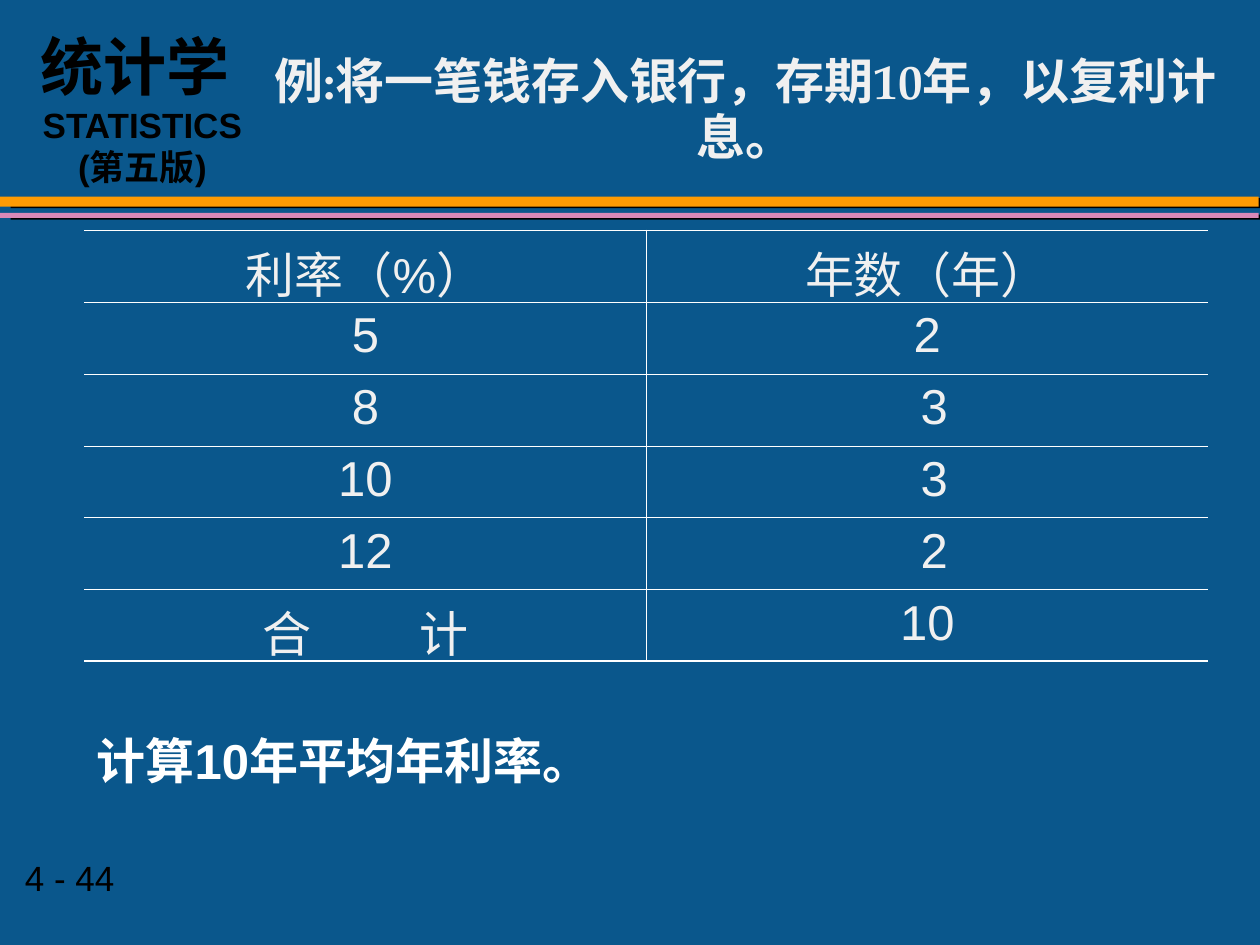
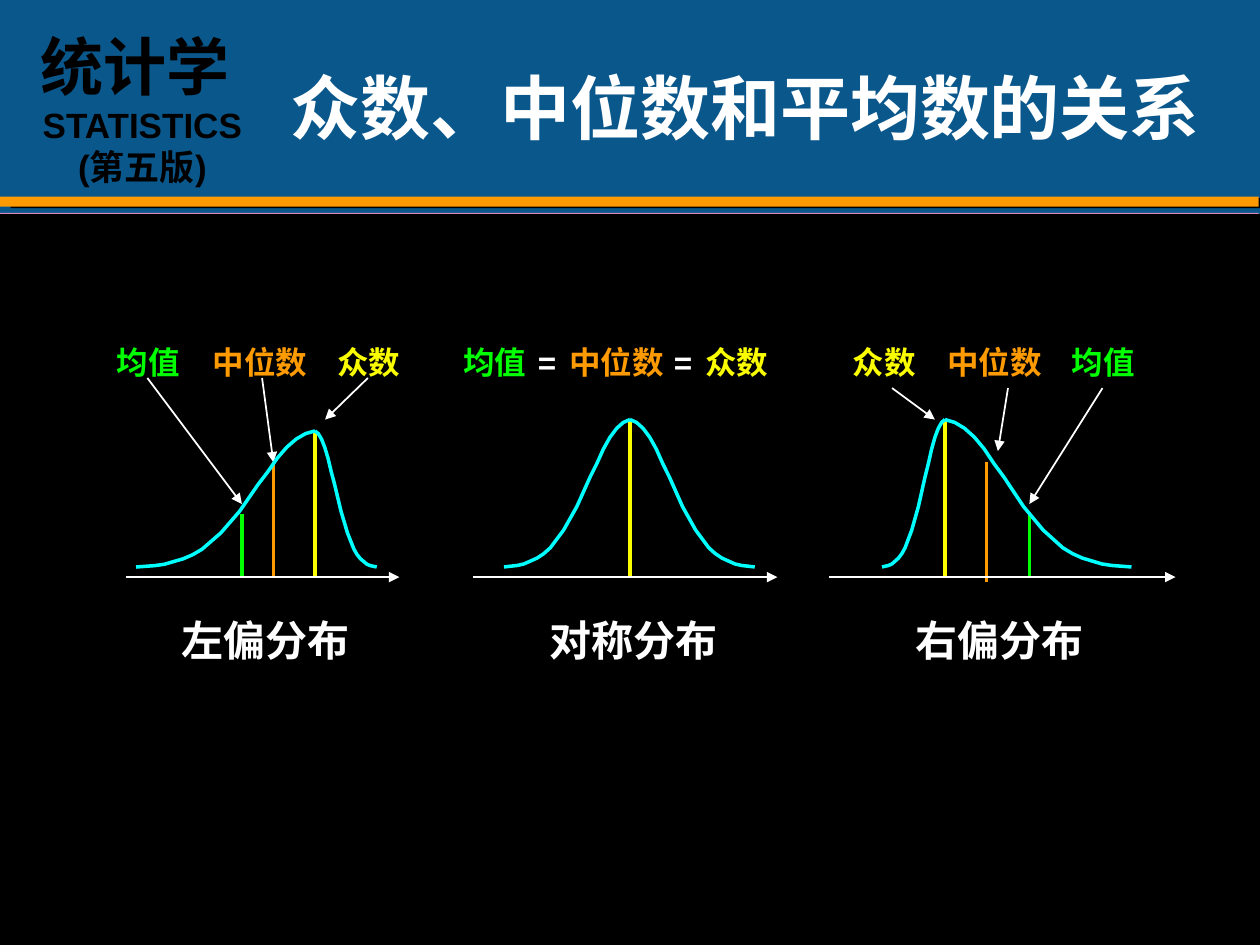
import pptx
import pptx.dml.color
import pptx.enum.shapes
import pptx.enum.text
import pptx.oxml
import pptx.oxml.ns
import pptx.util
from lxml import etree
from pptx.util import Inches

BLUE, ORANGE, PINK = "0A578C", "FE9B03", "D989B8"
BLACK, WHITE, PALE = "000000", "FFFFFF", "F0F0F0"
GREEN, YELLOW, CYAN = "00FF00", "FAFD00", "00FFFF"
BODY_FONT, TITLE_FONT = "Arial", "TeX Gyre Pagella"
CENTER = pptx.enum.text.PP_ALIGN.CENTER

MEAN, MEDIAN, MODE = ("均值", GREEN), ("中位数", ORANGE), ("众数", YELLOW)
EQUALS = ("=", WHITE)
LABEL_WIDTHS = {"均值": 0.7, "中位数": 0.95, "众数": 0.7, "=": 0.41}
AXIS_Y, CURVE_FOOT = 4.58, 4.5
CURVE_STEPS = [0, 2, 3, 4, 5, 6, 7, 9, 11, 13, 14, 15, 16, 17, 18, 19]
CURVE_HEIGHTS = [0, 0.01, 0.02, 0.04, 0.06, 0.09, 0.13, 0.25,
                 0.41, 0.61, 0.7, 0.8, 0.88, 0.94, 0.98, 1]

RATES = [("利率（%）", "年数（年）"), ("5", "2"), ("8", " 3"),
         ("10", " 3"), ("12", " 2"), ("合 计", "10")]

DISTRIBUTIONS = [
    {"name": "左偏分布", "name_left": 1.34, "axis": (1, 3.17),
     "peak": (2.5, 3.42), "feet": (1.08, 2.99),
     "labels": [(MEAN, 0.83), (MEDIAN, 1.59), (MODE, 2.58)],
     "markers": [(YELLOW, 2.5, 3.42, AXIS_Y), (ORANGE, 2.17, 3.67, AXIS_Y),
                 (GREEN, 1.92, 4.08, AXIS_Y)],
     "arrows": [(2.92, 3, 2.58, 3.33), (2.08, 3, 2.17, 3.67),
                (1.17, 3, 1.92, 4)]},
    {"name": "对称分布", "name_left": 4.26, "axis": (3.75, 6.17),
     "peak": (5, 3.33), "feet": (4, 5.99),
     "labels": [(MEAN, 3.58), (EQUALS, 4.17), (MEDIAN, 4.42),
                (EQUALS, 5.25), (MODE, 5.5)],
     "markers": [(YELLOW, 5, 3.33, AXIS_Y)],
     "arrows": []},
    {"name": "右偏分布", "name_left": 7.17, "axis": (6.58, 9.33),
     "peak": (7.5, 3.33), "feet": (7, 8.98),
     "labels": [(MODE, 6.67), (MEDIAN, 7.42), (MEAN, 8.41)],
     "markers": [(YELLOW, 7.5, 3.33, AXIS_Y), (ORANGE, 7.83, 3.67, 4.62),
                 (GREEN, 8.17, 4.08, AXIS_Y)],
     "arrows": [(7.08, 3.08, 7.42, 3.33), (8, 3.08, 7.92, 3.58),
                (8.75, 3.08, 8.17, 4)]},
]


def color(value):
    return pptx.dml.color.RGBColor.from_string(value)


def add_element(parent, tag, **attributes):
    return etree.SubElement(parent, pptx.oxml.ns.qn(tag), attributes)


class Deck:
    def __init__(self):
        self.presentation = pptx.Presentation()
        self.presentation.slide_width = Inches(10)
        self.presentation.slide_height = Inches(7.5)
        background = self.presentation.slide_master.background.fill
        background.solid()
        background.fore_color.rgb = color(BLUE)
        self.slide = None

    def add_slide(self):
        self.slide = self.presentation.slides.add_slide(
            self.presentation.slide_layouts[5])
        self.band(0, 1.56, 9.99, 0.08, ORANGE, shadow=True)
        self.band(0, 1.69, 9.99, 0.04, PINK, shadow=True)
        brand = self.text("统计学 \nSTATISTICS\n(第五版)", 0.17, 0.17, 1.92, 1.37,
                          20, BLACK, bold=True, wrap=True)
        for paragraph in brand.text_frame.paragraphs:
            paragraph.alignment = CENTER
        self.format(brand.text_frame.paragraphs[0], 36, BLACK, True)

    def format(self, paragraph, size, text_color, bold=False, font=BODY_FONT):
        for run in paragraph.runs:
            run.font.name = font
            run.font.size = pptx.util.Pt(size)
            run.font.bold = bold
            run.font.color.rgb = color(text_color)

    def title(self, text, left, top, width, height, size, text_color):
        shape = self.slide.shapes.title
        shape.left, shape.top = Inches(left), Inches(top)
        shape.width, shape.height = Inches(width), Inches(height)
        frame = shape.text_frame
        frame.text = text
        frame.auto_size = pptx.enum.text.MSO_AUTO_SIZE.NONE
        frame.vertical_anchor = pptx.enum.text.MSO_ANCHOR.MIDDLE
        paragraph = frame.paragraphs[0]
        paragraph.alignment = CENTER
        paragraph.line_spacing = 0.95
        self.format(paragraph, size, text_color, True, TITLE_FONT)

    def text(self, text, left, top, width, height, size, text_color,
             bold=False, wrap=False):
        shape = self.slide.shapes.add_textbox(
            Inches(left), Inches(top), Inches(width), Inches(height))
        shape.text_frame.text = text
        shape.text_frame.word_wrap = wrap
        for paragraph in shape.text_frame.paragraphs:
            self.format(paragraph, size, text_color, bold)
        return shape

    def band(self, left, top, width, height, fill, shadow=False):
        shape = self.slide.shapes.add_shape(
            pptx.enum.shapes.MSO_SHAPE.RECTANGLE,
            Inches(left), Inches(top), Inches(width), Inches(height))
        shape.shadow.inherit = False
        shape.fill.solid()
        shape.fill.fore_color.rgb = color(fill)
        shape.line.fill.background()
        if shadow:
            effects = shape._element.spPr.find(pptx.oxml.ns.qn("a:effectLst"))
            outer = add_element(effects, "a:outerShdw", dist="77470",
                                dir="540000", algn="ctr", rotWithShape="0")
            add_element(outer, "a:srgbClr", val=BLACK)

    def line(self, start_x, start_y, end_x, end_y, line_color, width,
             arrow=False):
        connector = self.slide.shapes.add_connector(
            pptx.enum.shapes.MSO_CONNECTOR.STRAIGHT,
            Inches(start_x), Inches(start_y), Inches(end_x), Inches(end_y))
        connector.line.color.rgb = color(line_color)
        connector.line.width = pptx.util.Pt(width)
        if arrow:
            add_element(connector.line._get_or_add_ln(), "a:tailEnd",
                        type="triangle")
        add_element(connector._element.spPr, "a:effectLst")

    def half_curve(self, foot, peak):
        peak_x, peak_y = peak
        points = [(Inches(foot + (peak_x - foot) * step / CURVE_STEPS[-1]),
                   Inches(CURVE_FOOT + (peak_y - CURVE_FOOT) * height))
                  for step, height in zip(CURVE_STEPS, CURVE_HEIGHTS)]
        builder = self.slide.shapes.build_freeform(*points[0])
        builder.add_line_segments(points[1:], close=False)
        shape = builder.convert_to_shape()
        shape.shadow.inherit = False
        shape.fill.background()
        shape.line.color.rgb = color(CYAN)
        shape.line.width = pptx.util.Pt(2)

    def border(self, cell, side, width):
        properties = cell._tc.get_or_add_tcPr()
        edge = add_element(properties, f"a:ln{side}",
                           w=str(pptx.util.Pt(width)))
        if width:
            add_element(add_element(edge, "a:solidFill"), "a:srgbClr", val=WHITE)
        else:
            add_element(edge, "a:noFill")

    def table(self, rows, left, top, width, row_height):
        columns = len(rows[0])
        table = self.slide.shapes.add_table(
            len(rows), columns, Inches(left), Inches(top),
            Inches(width), Inches(row_height * len(rows))).table
        table.first_row = table.horz_banding = False
        thin, thick = 0.45, 1.08
        for row, values in enumerate(rows):
            for column, value in enumerate(values):
                cell = table.cell(row, column)
                cell.text = value
                self.border(cell, "L", thin if column else 0)
                self.border(cell, "R", thin if column < columns - 1 else 0)
                self.border(cell, "T", thin if row else thick)
                self.border(cell, "B", thin if row < len(rows) - 1 else thick)
                cell.fill.background()
                paragraph = cell.text_frame.paragraphs[0]
                paragraph.alignment = CENTER
                self.format(paragraph, 28, PALE)
        return table

    def spread_first_word(self, cell, spacing):
        paragraph = cell.text_frame.paragraphs[0]
        first, last = paragraph.text.split(" ")
        paragraph.runs[0].text = first + " "
        paragraph.add_run().text = last
        self.format(paragraph, 28, PALE)
        paragraph.runs[0].font._element.set("spc", str(int(spacing * 100)))

    def distribution(self, data):
        self.text(data["name"], data["name_left"], 4.83, 1.53, 0.5,
                  24, WHITE, bold=True)
        for (label, label_color), left in data["labels"]:
            self.text(label, left, 2.67, LABEL_WIDTHS[label], 0.4,
                      18, label_color, bold=True)
        for marker_color, x, top, bottom in data["markers"]:
            self.line(x, top, x, bottom, marker_color, 2)
        for arrow in data["arrows"]:
            self.line(*arrow, WHITE, 1, arrow=True)
        axis_start, axis_end = data["axis"]
        self.line(axis_start, AXIS_Y, axis_end, AXIS_Y, WHITE, 1, arrow=True)
        for foot in data["feet"]:
            self.half_curve(foot, data["peak"])


def main():
    deck = Deck()

    deck.add_slide()
    deck.title("例:将一笔钱存入银行，存期10年，以复利计息。",
               2, 0.17, 7.83, 1.42, 28, PALE)
    rates = deck.table(RATES, 0.67, 1.83, 8.92, 0.57)
    deck.spread_first_word(rates.cell(len(RATES) - 1, 0), 27.5)
    deck.text("计算10年平均年利率。", 0.67, 5.75, 7.92, 0.57, 28, WHITE,
              bold=True, wrap=True)
    deck.text("4 - 44", 0.1, 6.75, 1.87, 0.43, 20, BLACK, wrap=True)

    deck.add_slide()
    deck.band(0, 1.7, 10, 5.8, BLACK)
    deck.title("众数、中位数和平均数的关系", 2.08, 0.25, 7.67, 1.25, 40, WHITE)
    for data in DISTRIBUTIONS:
        deck.distribution(data)

    deck.presentation.save("out.pptx")


if __name__ == "__main__":
    main()
